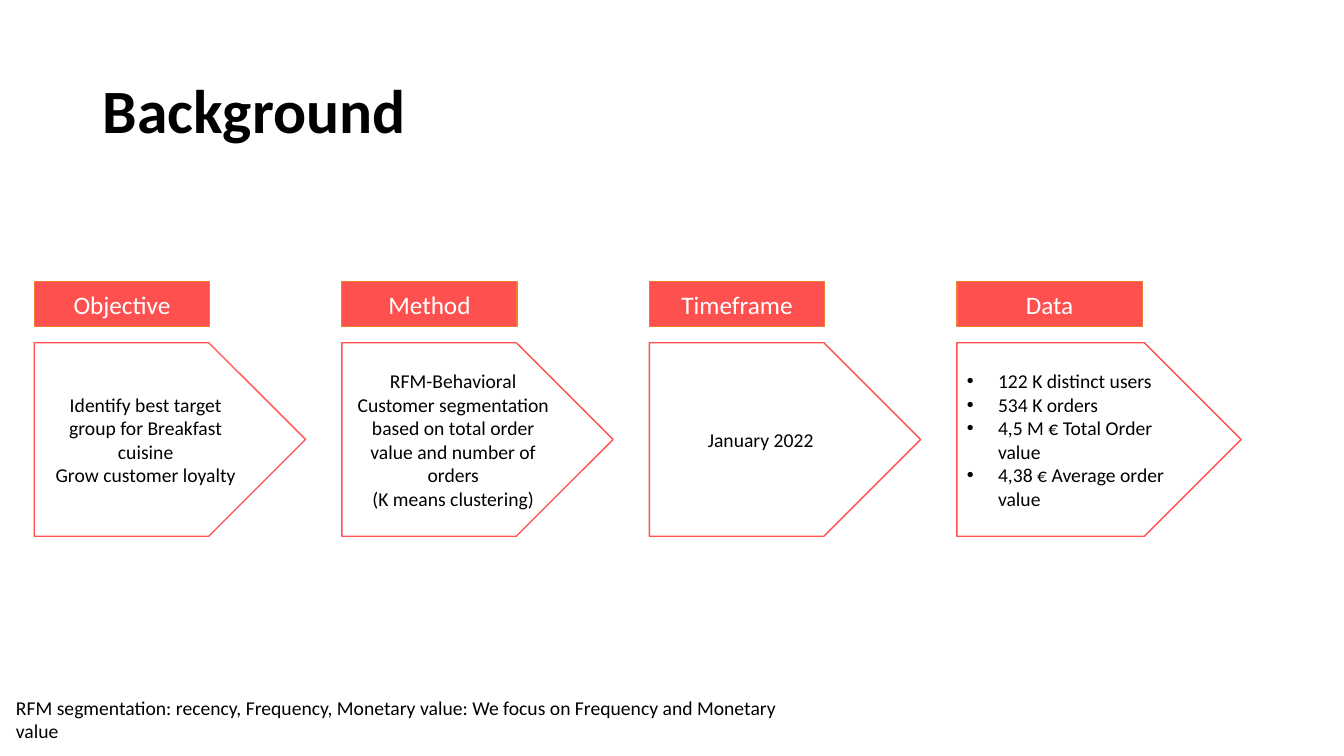
"""Build the Background slide: four project stages with labels and arrows."""
from lxml import etree
from pptx import Presentation
from pptx import util as u
from pptx.dml.color import RGBColor
from pptx.enum import shapes, text
from pptx.oxml.ns import qn

COLORS = {"red": "FF5050", "orange": "ED7D31", "black": "000000", "white": "FFFFFF"}
STAGES = [
    ("Objective", 1.74, 2.69, ["Identify best target group for Breakfast cuisine",
                               "Grow customer loyalty"]),
    ("Method", 1.74, 2.69, ["RFM-Behavioral Customer segmentation based on total order "
                            "value and number of orders", "(K means clustering)"]),
    ("Timeframe", 1.74, 2.69, ["January 2022"]),
    ("Data", 1.84, 2.82, ["122 K distinct users", "534 K orders",
                          "4,5 M € Total Order value", "4,38 € Average order value"]),
]
LEFT, STEP = 0.34, 3.05


def write(shape, lines, size, color, align, anchor=text.MSO_ANCHOR.MIDDLE, bold=False):
    frame = shape.text_frame
    frame.word_wrap = True
    frame.vertical_anchor = anchor
    frame.text = "\n".join(lines)
    for paragraph in frame.paragraphs:
        paragraph.alignment = align
        for run in paragraph.runs:
            run.font.name = "Calibri"
            run.font.size = u.Pt(size)
            run.font.bold = bold
            run.font.color.rgb = RGBColor.from_string(COLORS[color])


def add_block(kind, left, top, width, height, fill, line):
    block = slide.shapes.add_shape(kind, u.Inches(left), u.Inches(top),
                                   u.Inches(width), u.Inches(height))
    block.shadow.inherit = False
    if fill:
        block.fill.solid()
        block.fill.fore_color.rgb = RGBColor.from_string(COLORS[fill])
    else:
        block.fill.background()
    block.line.color.rgb = RGBColor.from_string(COLORS[line])
    block.line.width = u.Pt(1)
    return block


deck = Presentation()
deck.slide_width, deck.slide_height = u.Inches(13.33), u.Inches(7.5)
slide = deck.slides.add_slide(deck.slide_layouts[6])

title = slide.shapes.add_textbox(u.Inches(0.92), u.Inches(0.4), u.Inches(11.5), u.Inches(1.45))
write(title, ["Background"], 44, "black", text.PP_ALIGN.LEFT, bold=True)
title.text_frame.paragraphs[0].line_spacing = 0.9

for index, (name, label_width, arrow_width, details) in enumerate(STAGES):
    left = LEFT + index * STEP
    arrow = add_block(shapes.MSO_SHAPE.PENTAGON, left, 3.4, arrow_width, 1.92, None, "red")
    bulleted = name == "Data"
    write(arrow, details, 14, "black",
          text.PP_ALIGN.LEFT if bulleted else text.PP_ALIGN.CENTER)
    if bulleted:
        for paragraph in arrow.text_frame.paragraphs:
            properties = paragraph._p.get_or_add_pPr()
            properties.set("marL", str(u.Inches(0.31)))
            properties.set("indent", str(-u.Inches(0.31)))
            etree.SubElement(properties, qn("a:buFont")).set("typeface", "Arial")
            etree.SubElement(properties, qn("a:buChar")).set("char", "•")
    label = add_block(shapes.MSO_SHAPE.RECTANGLE, left, 2.79, label_width, 0.45, "red", "orange")
    write(label, [name], 18, "white", text.PP_ALIGN.CENTER)

footnote = slide.shapes.add_textbox(u.Inches(0.06), u.Inches(6.85), u.Inches(8.1), u.Inches(0.57))
write(footnote, ["RFM segmentation: recency, Frequency, Monetary value: "
                 "We focus on Frequency and Monetary value"],
      14, "black", text.PP_ALIGN.LEFT, text.MSO_ANCHOR.TOP)

deck.save("out.pptx")
